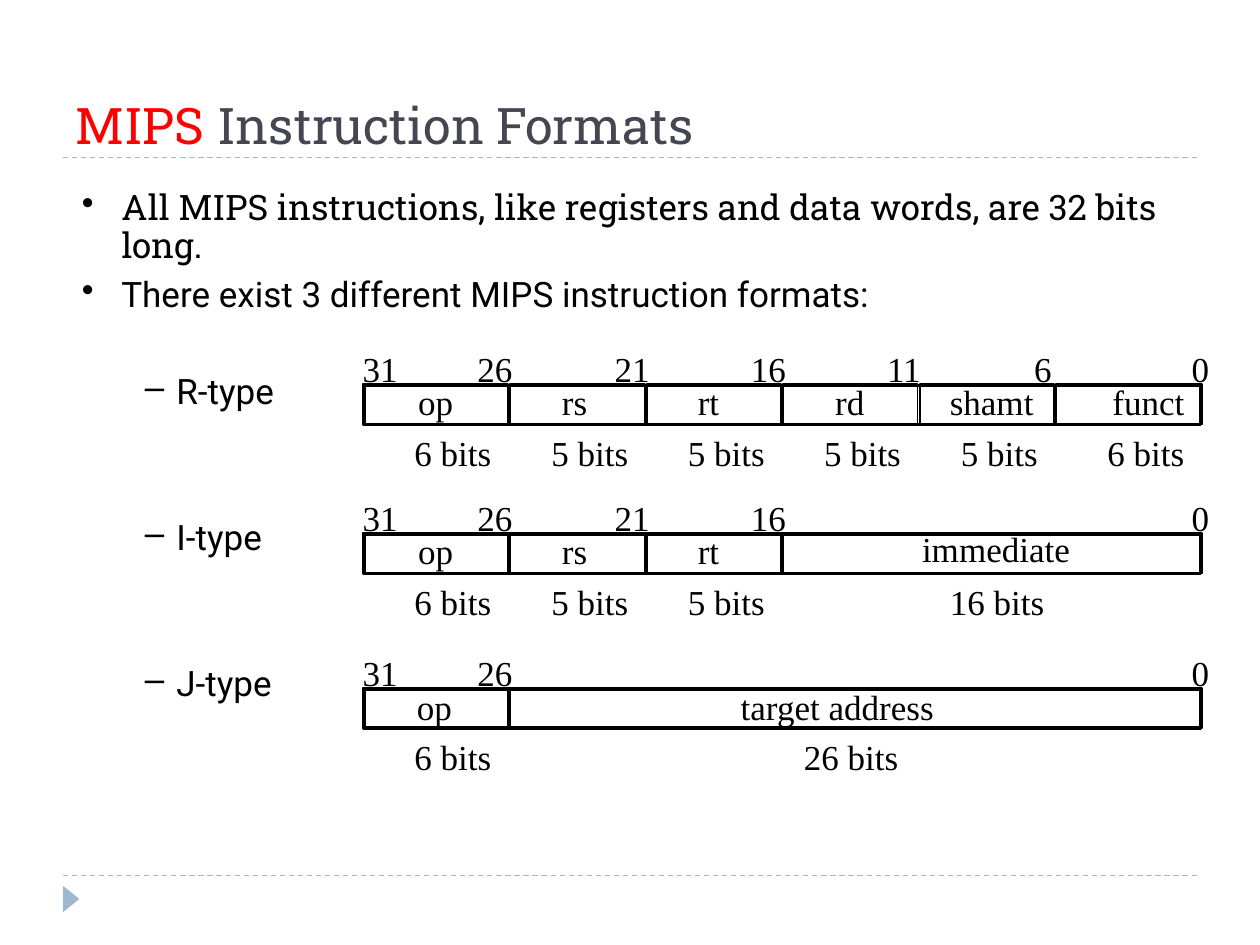
from dataclasses import dataclass
from lxml.etree import SubElement as Sub
from pptx import Presentation
from pptx.dml.color import RGBColor as RGB
from pptx.enum.dml import MSO_LINE as Dash
from pptx.enum.shapes import MSO_CONNECTOR as Conn, MSO_SHAPE as Kind
from pptx.enum.text import MSO_ANCHOR as Anchor, MSO_AUTO_SIZE as Fit
from pptx.oxml.ns import qn
from pptx.util import Pt


@dataclass(frozen=True)
class Theme:
    ink: str = "000000"
    title: str = "464653"
    key: str = "FF0000"
    rule: str = "9FB8CD"
    slab: str = "Roboto Slab"
    sans: str = "Roboto"
    serif: str = "Times New Roman"
    head: float = 28.8
    text: float = 20


class Deck:
    def __init__(self, theme, wide, high):
        self.theme = theme
        self.prs = Presentation()
        self.prs.slide_width, self.prs.slide_height = Pt(wide), Pt(high)
        self.slide = self.prs.slides.add_slide(self.prs.slide_layouts[6])
        self.shapes = self.slide.shapes

    def group(self):
        """Send the next shapes into a new group."""
        self.shapes = self.slide.shapes.add_group_shape().shapes

    def rule(self, x, y, end):
        line = self.shapes.add_connector(Conn.STRAIGHT, Pt(x), Pt(y), Pt(end), Pt(y))
        line.line.color.rgb = RGB.from_string(self.theme.rule)
        line.line.width = Pt(0.75)
        line.line.dash_style = Dash.DASH
        Sub(line._element.spPr, qn("a:effectLst"))

    def mark(self, x, y, w, h):
        tri = self.shapes.add_shape(Kind.ISOSCELES_TRIANGLE, Pt(x), Pt(y), Pt(w), Pt(h))
        tri.shadow.inherit = False
        tri.rotation = 90
        tri.fill.solid()
        tri.fill.fore_color.rgb = RGB.from_string(self.theme.rule)
        tri.line.fill.background()

    def rect(self, x, y, w, h, line):
        box = self.shapes.add_shape(Kind.RECTANGLE, Pt(x), Pt(y), Pt(w), Pt(h))
        box.shadow.inherit = False
        box.fill.background()
        box.line.color.rgb = RGB.from_string(self.theme.ink)
        box.line.width = Pt(line)

    def frame(self, x, y, w, h, wrap=True, pad=(7.2, 3.6)):
        frame = self.shapes.add_textbox(Pt(x), Pt(y), Pt(w), Pt(h)).text_frame
        frame.word_wrap = wrap
        frame.margin_left = frame.margin_right = Pt(pad[0])
        frame.margin_top = frame.margin_bottom = Pt(pad[1])
        return frame

    def run(self, para, text, face, size, ink):
        run = para.add_run()
        run.text = text
        run.font.name, run.font.size = face, Pt(size)
        run.font.color.rgb = RGB.from_string(ink)

    def label(self, text, x, y, w):
        frame = self.frame(x, y, w, 31, wrap=False)
        frame.auto_size = Fit.SHAPE_TO_FIT_TEXT
        th = self.theme
        self.run(frame.paragraphs[0], text, th.serif, th.text, th.ink)

    def bullet(self, para, text, face, level, gap):
        left, hang, sign = ((22.5, -22.5, "•"), (54, -18, "–"))[level]
        para.level = level
        para.line_spacing = 0.9
        para.space_before = Pt(gap)
        props = para._p.get_or_add_pPr()
        props.set("marL", str(Pt(left)))
        props.set("indent", str(Pt(hang)))
        Sub(props, qn("a:buChar")).set("char", sign)
        self.run(para, text, face, self.theme.text, self.theme.ink)


# Left edge of each bit number, and of each field that starts there
MARKS = {31: 200.2, 26: 265.7, 21: 344.2, 16: 422, 11: 499.8, 6: 583.9, 0: 673.9}
EDGES = {31: 207.4, 26: 291.6, 21: 369.6, 16: 447.6, 11: 525.6, 6: 603.6, 0: 688}
GAP = 1.2

# Fields: first bit, name, left, width, drop, bit count, left of the count
RS = (26, "rs", 314, 28.8, -5.8, 5, 308)
RT = (21, "rt", 391.7, 26.6, -5.8, 5, 386)
ROWS = [
    (219.6, [(31, "op", 231.8, 34.6, -5.8, 6, 229.7), RS, RT,
             (16, "rd", 470.2, 31, -5.8, 5, 463.8),
             (11, "shamt", 535.7, 62.6, -5.8, 5, 542),
             (6, "funct", 628.6, 55.4, -5.8, 6, 625.7)]),
    (304.7, [(31, "op", 231.8, 34.6, -5.4, 6, 229.7), RS, RT,
             (16, "immediate", 519.8, 99.4, -6.7, 16, 535.7)]),
    (393.2, [(31, "op", 231.1, 34.6, -5.2, 6, 229.7),
             (26, "target address", 416.2, 125.3, -5.2, 26, 452.2)]),
]


def main():
    th = Theme()
    deck = Deck(th, 720, 540)

    # Rules and corner mark
    for y in (500.4, 90):
        deck.rule(36, y, 684)
    deck.mark(33.1, 509, 15.1, 9.4)

    # Title
    title = deck.frame(36, 26, 648, 66)
    title.vertical_anchor = Anchor.BOTTOM
    for text, ink in (("MIPS", th.key), (" Instruction Formats", th.title)):
        deck.run(title.paragraphs[0], text, th.slab, th.head, ink)

    # Bullets
    body = deck.frame(41.8, 106.6, 653.8, 391.7, pad=(5, 2))
    points = [
        ("All MIPS instructions, like registers and data words, are 32 bits long.",
         th.slab, 0, 0),
        ("There exist 3 different MIPS instruction formats:", th.sans, 0, 6.5),
        ("R-type", th.sans, 1, 34.2),
        ("I-type", th.sans, 1, 61.8),
        ("J-type", th.sans, 1, 61.8),
    ]
    for i, point in enumerate(points):
        para = body.add_paragraph() if i else body.paragraphs[0]
        deck.bullet(para, *point)

    # Instruction formats
    for top, fields in ROWS:
        deck.group()
        deck.rect(208, top + 0.6, 478, 22.4, 2)
        stops = [field[0] for field in fields] + [0]
        for field, stop in zip(fields, stops[1:]):
            bit, name, x, w, drop, count, left = field
            deck.rect(EDGES[bit], top, EDGES[stop] - EDGES[bit] - GAP, 23, 1)
            deck.label(name, x, top + drop, w)
            text = f"{count} bits"
            deck.label(text, left, top + 23.3, 48.4 + 10 * len(str(count)))
        for bit in stops:
            deck.label(str(bit), MARKS[bit], top - 24.5, 14.4 + 10 * len(str(bit)))

    deck.prs.save("out.pptx")


if __name__ == "__main__":
    main()
